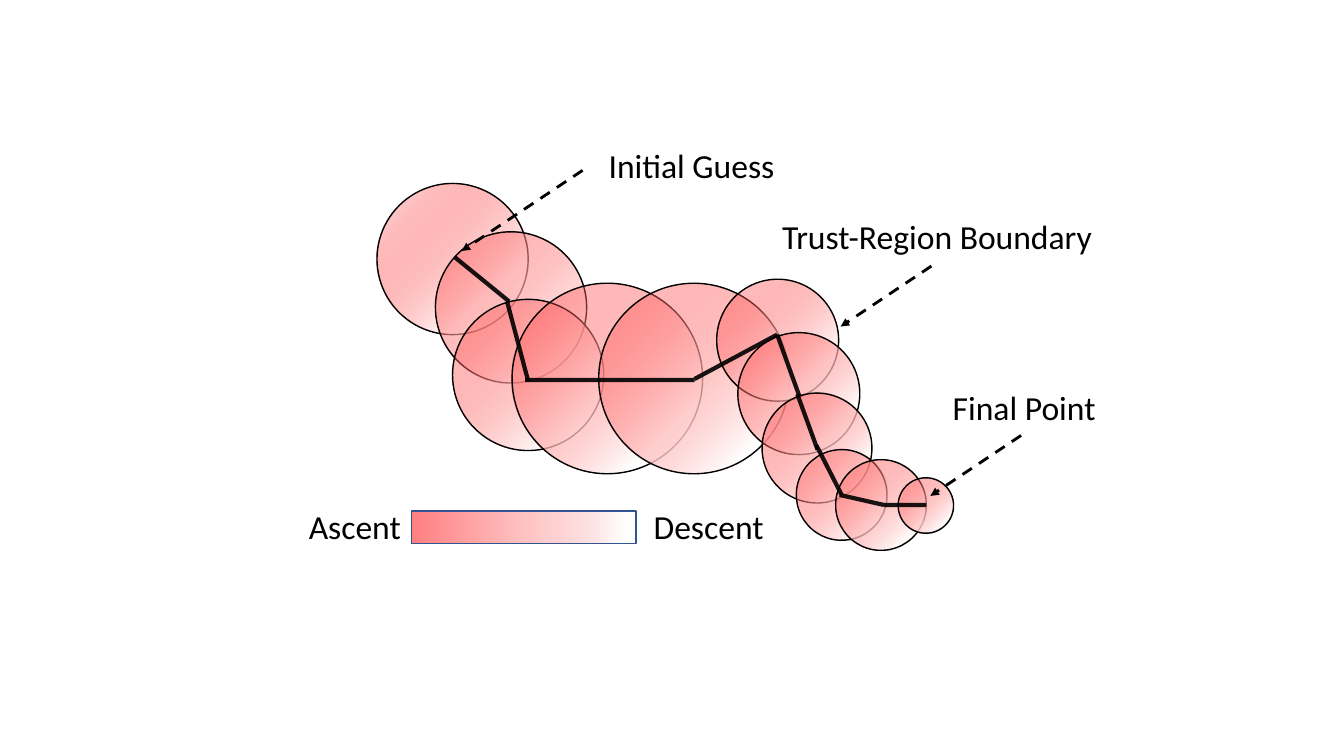
import dataclasses
import typing

import lxml.etree
import pptx
import pptx.dml.color
import pptx.enum.dml
import pptx.enum.shapes
import pptx.enum.text
import pptx.oxml.ns
import pptx.util

COLS, ROWS = 133.33, 75
CELL = pptx.util.Inches(0.1)


class Stop(typing.NamedTuple):
    place: int
    color: str
    alpha: int


class Disc(typing.NamedTuple):
    col: float
    row: float
    size: float
    turn: float


class Edge(typing.NamedTuple):
    col: float
    row: float
    to_col: float
    to_row: float


class Label(typing.NamedTuple):
    text: str
    col: float
    row: float
    wide: float


@dataclasses.dataclass(frozen=True)
class Theme:
    font: str = "Calibri"
    size: int = 24
    ink: str = "000000"
    frame: str = "325491"
    thin: float = 1
    arrow: float = 2
    route: float = 3
    region: tuple = (Stop(0, "FF0000", 10), Stop(74, "FFFFFF", 100),
                     Stop(83, "FFFFFF", 54), Stop(100, "FFFFFF", 0))
    scale: tuple = (Stop(0, "FF0000", 50), Stop(47, "FF0000", 25),
                    Stop(82, "FF0000", 10), Stop(100, "FFFFFF", 0))


THEME = Theme()

REGIONS = [
    Disc(37.4, 18.2, 15, 0), Disc(43.2, 23, 15, 42.1), Disc(44.9, 29.7, 15, 344.7),
    Disc(50.8, 28.1, 18.9, 344.7), Disc(59.4, 28.1, 18.9, 302.7),
    Disc(71.1, 27.7, 12.1, 13.7), Disc(73.2, 33, 12.1, 13.7),
    Disc(75.6, 39, 10.9, 13.7), Disc(79, 44.6, 9, 340.2),
    Disc(82.9, 45.6, 9, 317.5), Disc(89.1, 47.4, 5.5, 317.5),
]
STEPS = [
    Edge(45.1, 25.5, 50.5, 29.9), Edge(50.3, 29.9, 52.4, 37.8),
    Edge(52.1, 37.7, 60, 37.7), Edge(60, 37.7, 68.9, 37.7),
    Edge(68.9, 37.6, 77.1, 33.2), Edge(77.1, 33.2, 79.3, 39.3),
    Edge(79.1, 39.1, 81.1, 44.6), Edge(81, 44.2, 83.5, 49.1),
    Edge(83.3, 49.1, 87.7, 50.1), Edge(87.7, 50.1, 91.9, 50.1),
]
ARROWS = [
    Edge(57.8, 16.9, 45.8, 24.9), Edge(92.4, 26.4, 83.4, 32.4),
    Edge(101.3, 43.2, 92.3, 49.2),
]
LABELS = [
    Label("Ascent", 26.3, 49.7, 17.8), Label("Descent", 61.4, 49.7, 17.8),
    Label("Initial Guess", 57.2, 13.9, 22.8),
    Label("Trust-Region Boundary", 74.4, 20.9, 37.1),
    Label("Final Point", 90.2, 37.9, 22.8),
]


def grid(*cells: float) -> list[int]:
    return [round(cell * CELL) for cell in cells]


def rgb(color: str) -> pptx.dml.color.RGBColor:
    return pptx.dml.color.RGBColor.from_string(color)


def node(parent, tag: str, **attrs):
    values = {key: str(value) for key, value in attrs.items()}
    return lxml.etree.SubElement(parent, pptx.oxml.ns.qn("a:" + tag), values)


def blend(shape, stops: tuple, radial: bool) -> None:
    """Fill with translucent stops, from the top left corner or left to right."""
    shape.fill.gradient()
    fill = shape._element.spPr.find(pptx.oxml.ns.qn("a:gradFill"))
    fill.clear()
    fill.set("rotWithShape", "1")
    ramp = node(fill, "gsLst")
    for stop in stops:
        mark = node(ramp, "gs", pos=stop.place * 1000)
        tint = node(mark, "srgbClr", val=stop.color)
        if stop.alpha < 100:
            node(tint, "alpha", val=stop.alpha * 1000)
    if radial:
        focus = node(fill, "path", path="circle")
        node(focus, "fillToRect", r=100000, b=100000)
    else:
        node(fill, "lin", ang=0, scaled=0)


def draw_shape(slide, kind, box: list[int], stops: tuple, line: str,
               turn: float = 0, radial: bool = False) -> None:
    shape = slide.shapes.add_shape(kind, *box)
    shape.rotation = turn
    shape.shadow.inherit = False
    shape.line.color.rgb = rgb(line)
    shape.line.width = pptx.util.Pt(THEME.thin)
    blend(shape, stops, radial)


def draw_edge(slide, edge: Edge, width: float, alpha: int = 100,
              arrow: bool = False) -> None:
    link = slide.shapes.add_connector(
        pptx.enum.shapes.MSO_CONNECTOR.STRAIGHT, *grid(*edge))
    link.line.color.rgb = rgb(THEME.ink)
    link.line.width = pptx.util.Pt(width)
    props = link._element.spPr
    if alpha < 100:
        tint = next(props.iter(pptx.oxml.ns.qn("a:srgbClr")))
        node(tint, "alpha", val=alpha * 1000)
    if arrow:
        link.line.dash_style = pptx.enum.dml.MSO_LINE.DASH
        node(props.find(pptx.oxml.ns.qn("a:ln")), "tailEnd", type="triangle")
    node(props, "effectLst")


def write(slide, text: str, box: list[int], *, size: int = THEME.size,
          font: str = THEME.font, color: str = THEME.ink,
          align=pptx.enum.text.PP_ALIGN.CENTER) -> None:
    frame = slide.shapes.add_textbox(*box).text_frame
    frame.word_wrap = True
    frame.auto_size = pptx.enum.text.MSO_AUTO_SIZE.SHAPE_TO_FIT_TEXT
    para = frame.paragraphs[0]
    para.alignment = align
    run = para.add_run()
    run.text = text
    run.font.size = pptx.util.Pt(size)
    run.font.name = font
    run.font.color.rgb = rgb(color)


def main() -> None:
    deck = pptx.Presentation()
    deck.slide_width, deck.slide_height = grid(COLS, ROWS)
    slide = deck.slides.add_slide(deck.slide_layouts[6])
    kinds = pptx.enum.shapes.MSO_SHAPE
    for disc in REGIONS:
        draw_shape(slide, kinds.OVAL, grid(disc.col, disc.row, disc.size, disc.size),
                   THEME.region, THEME.ink, turn=disc.turn, radial=True)
    for step in STEPS:
        draw_edge(slide, step, THEME.route, alpha=90)
    draw_shape(slide, kinds.RECTANGLE, grid(40.8, 50.7, 22.3, 3.2),
               THEME.scale, THEME.frame)
    for arrow in ARROWS:
        draw_edge(slide, arrow, THEME.arrow, arrow=True)
    for label in LABELS:
        write(slide, label.text, grid(label.col, label.row, label.wide, 5))
    deck.save("out.pptx")


if __name__ == "__main__":
    main()
